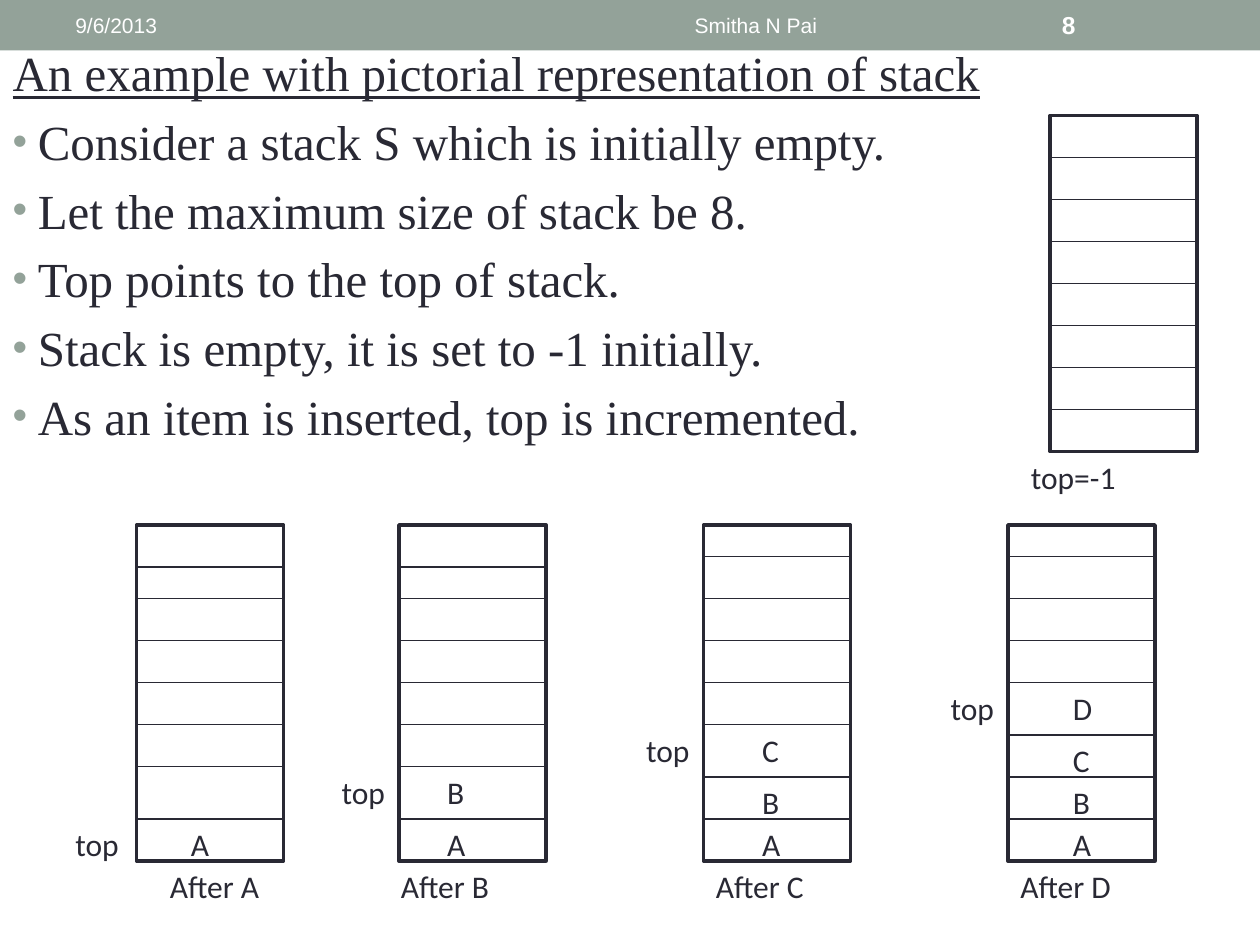
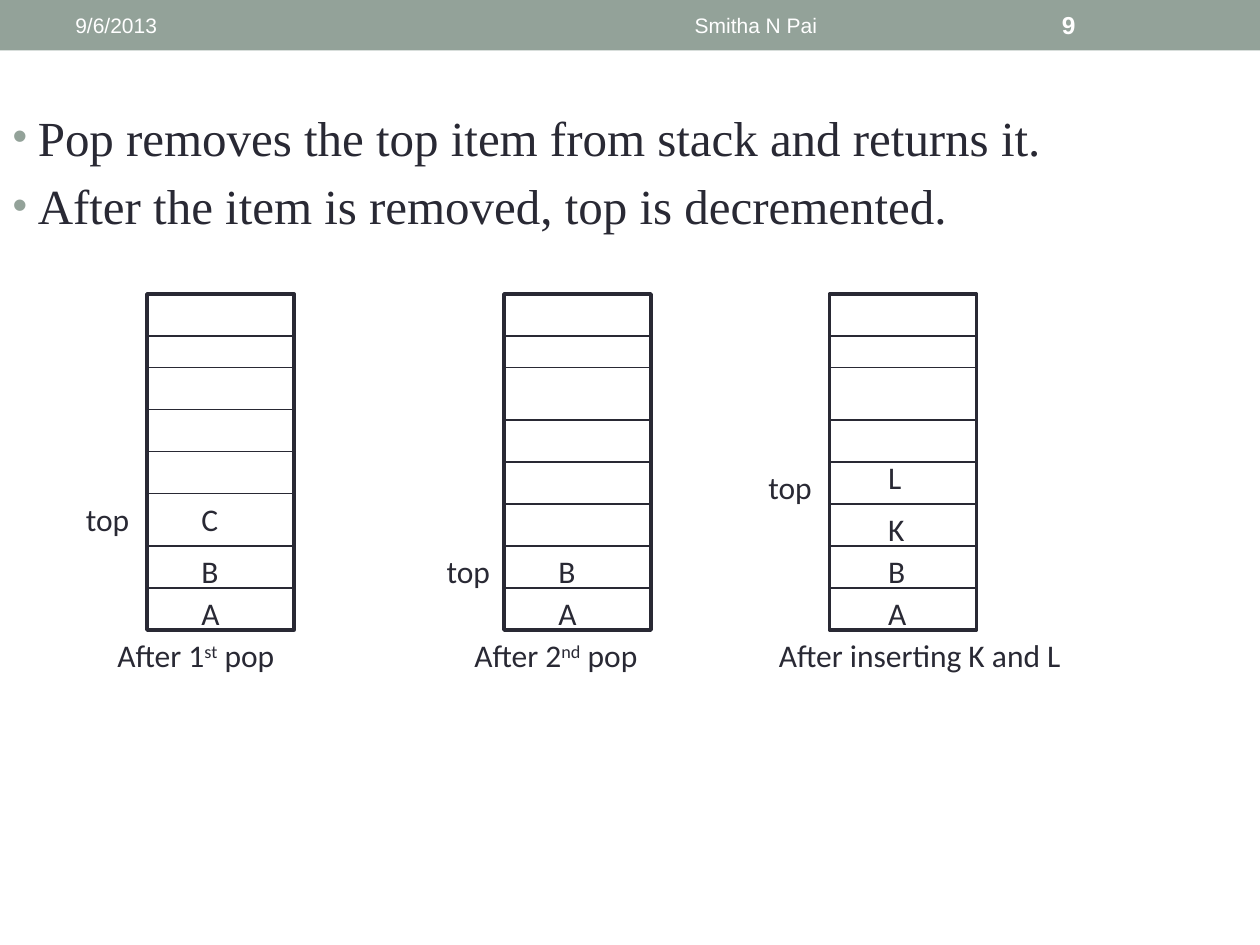
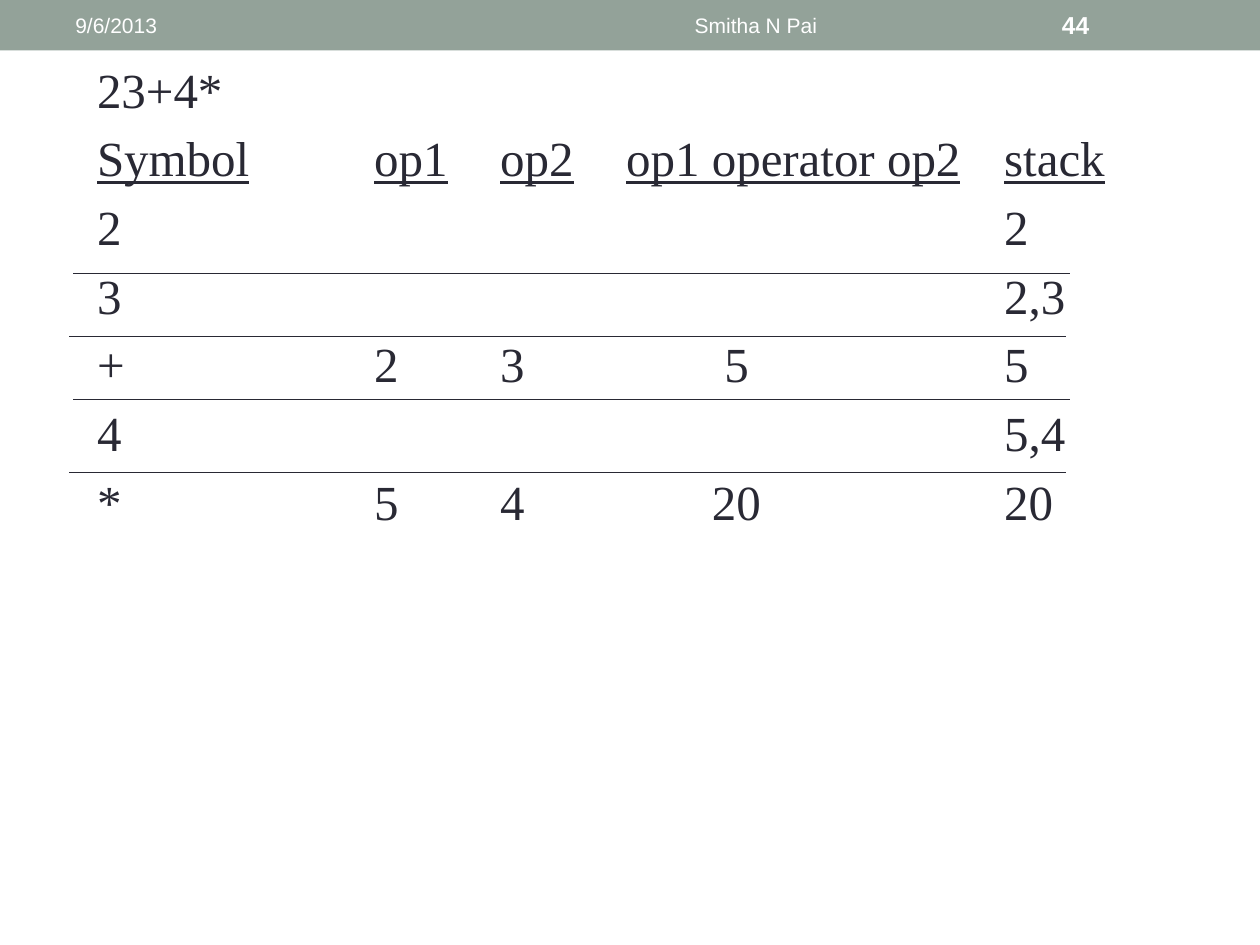
from lxml import etree
from pptx import Presentation
from pptx import util as u
from pptx.dml.color import RGBColor
from pptx.enum import shapes, text
from pptx.oxml.ns import qn

COLORS = {"ink": "292934", "sage": "93A299", "white": "FFFFFF"}
BODY = {"name": "Times New Roman", "size": u.Pt(28)}
LABEL = {"name": "Calibri", "size": u.Pt(18)}
FOOTER = {"name": "Arial", "size": u.Pt(12)}
NUMBER = {"name": "Arial", "size": u.Pt(14), "bold": True}

UNIT = 1 / 12
STACK_WIDTH, STACK_HEIGHT = 14, 32
POINTER_GAP = 6.65
HANGING = 0.2
EVEN = (4, 8, 12, 16, 20, 24, 28)
TIGHT_SECOND = (4, 7, 12, 16, 20, 24, 28)

DATE, AUTHOR = "9/6/2013", "Smitha N Pai"

STACK_SLIDES = [
    {
        "number": "8",
        "body": (0, 0.29, 10, 7),
        "lead": 0.05,
        "heading": "An example with pictorial representation of stack",
        "points": [
            "Consider a stack S which is initially empty.",
            "Let the maximum size of stack be 8.",
            "Top points to the top of stack.",
            "Stack is empty, it is set to -1 initially.",
            "As an item is inserted, top is incremented.",
        ],
        "stacks": [
            {"at": (100, 11), "rows": EVEN, "items": "", "inset": 0,
             "caption": ["top=-1"], "caption_at": (-3, 11)},
            {"at": (13, 50), "rows": (4, 7, 11, 15, 19, 23, 28), "items": "A", "inset": 4,
             "pointer": 7, "caption": ["After A"], "caption_at": (2, 15)},
            {"at": (38, 50), "rows": (4, 7, 11, 15, 19, 23, 28), "items": "BA", "inset": 3.4,
             "caption": ["After B"], "caption_at": (-1, 15)},
            {"at": (67, 50), "rows": (3, 7, 11, 15, 19, 24, 28), "items": "CBA", "inset": 4.4,
             "caption": ["After C"], "caption_at": (0, 15)},
            {"at": (96, 50), "rows": (3, 7, 11, 15, 20, 24, 28), "items": "DCBA", "inset": 5,
             "caption": ["After D"], "caption_at": (0, 15)},
        ],
    },
    {
        "number": "9",
        "body": (0, 0.25, 10, 7),
        "lead": 0.6,
        "heading": None,
        "points": [
            "Pop removes the top item from stack and returns it.",
            "After the item is removed, top is decremented.",
        ],
        "stacks": [
            {"at": (14, 28), "rows": (4, 7, 11, 15, 19, 24, 28), "items": "CBA", "inset": 4,
             "pointer": 7, "caption": ["After 1", "st", " pop"], "caption_at": (-4, 20)},
            {"at": (48, 28), "rows": TIGHT_SECOND, "items": "BA", "inset": 4,
             "caption": ["After 2", "nd", " pop"], "caption_at": (-4, 21)},
            {"at": (79, 28), "rows": TIGHT_SECOND, "items": "LKBA", "inset": 4.4, "lift": 1,
             "pointer": 7, "caption": ["After inserting K and L"], "caption_at": (-6, 36)},
        ],
    },
]

TRACE = {
    "number": "44",
    "body": (0.67, 0.42, 9, 7),
    "expression": "23+4*",
    "header": ["Symbol", "op1", "op2", "op1 operator op2", "stack"],
    "steps": [
        {"before": "2\t\t\t\t\t\t\t\t2"},
        {"before": "3\t\t\t\t\t\t\t\t2,3"},
        {"before": "+\t\t2\t3\t", "result": "5", "after": "\t\t\t5"},
        {"before": "4\t\t\t\t\t\t\t\t5,4"},
        {"before": "*\t\t\t5\t4\t", "result": "20", "after": "\t\t20"},
    ],
    "rules": [(0.58, 2.17), (0.55, 2.67), (0.58, 3.17), (0.55, 3.75)],
    "rule_width": 7.91,
}
DIGIT_HALF = 7
RESULT_CENTER = 63
SPACE = 7


def rgb(key):
    return RGBColor.from_string(COLORS[key])


def inches(*lengths):
    return [u.Inches(length) for length in lengths]


def grid(*cells):
    return [cell * UNIT for cell in cells]


def write(paragraph, words, style, color="ink", **extra):
    run = paragraph.add_run()
    run.text = words
    for key, value in {**style, **extra}.items():
        setattr(run.font, key, value)
    run.font.color.rgb = rgb(color)
    return run


def label(slide, box, parts, style=LABEL, color="ink", wrap=True,
          align=text.PP_ALIGN.LEFT, anchor=text.MSO_ANCHOR.TOP):
    frame = slide.shapes.add_textbox(*inches(*box)).text_frame
    frame.word_wrap = wrap
    frame.vertical_anchor = anchor
    paragraph = frame.paragraphs[0]
    paragraph.alignment = align
    for index, part in enumerate(parts):
        run = write(paragraph, part, style, color)
        if index == 1:
            run.font._element.set("baseline", "30000")


def rule(slide, left, top, width):
    line = slide.shapes.add_connector(
        shapes.MSO_CONNECTOR.STRAIGHT, *inches(left, top, left + width, top))
    line.line.color.rgb = rgb("ink")
    line.line.width = u.Pt(0.75)
    etree.SubElement(line._element.spPr, qn("a:effectLst"))


def rectangle(slide, box, fill):
    shape = slide.shapes.add_shape(shapes.MSO_SHAPE.RECTANGLE, *inches(*box))
    shape.shadow.inherit = False
    shape.fill.solid()
    shape.fill.fore_color.rgb = rgb(fill)
    shape.line.fill.background()
    return shape


def add_band(prs, slide):
    band = rectangle(slide, (0, 0, 10, 0.4), "sage")
    prs.slide_master.shapes._spTree.insert(2, band._element)


def widen_tabs(prs):
    for root in (prs.element, prs.slide_master.element):
        for level in root.iter():
            if level.get("defTabSz"):
                level.set("defTabSz", str(u.Inches(1)))


def start_slide(prs, box):
    slide = prs.slides.add_slide(prs.slide_layouts[1])
    title = slide.shapes.title._element
    title.getparent().remove(title)
    body = slide.placeholders[1]
    body.left, body.top, body.width, body.height = inches(*box)
    body.text_frame.auto_size = text.MSO_AUTO_SIZE.NONE
    return slide, body.text_frame


def add_footer(slide, number):
    for box, words, style, align in [
        ((0.5, 0.02, 3.17, 0.36), DATE, FOOTER, text.PP_ALIGN.LEFT),
        ((3.75, 0.02, 4.5, 0.36), AUTHOR, FOOTER, text.PP_ALIGN.CENTER),
        ((8.33, 0.02, 1.17, 0.36), number, NUMBER, text.PP_ALIGN.LEFT),
    ]:
        label(slide, box, [words], style, "white", align=align, anchor=text.MSO_ANCHOR.MIDDLE)


def next_paragraph(frame, bullet=False):
    first = frame.paragraphs[0]
    paragraph = frame.add_paragraph() if first.runs else first
    props = paragraph._p.get_or_add_pPr()
    props.set("marL", str(u.Inches(HANGING)))
    props.set("indent", str(-u.Inches(HANGING)))
    props.set("defTabSz", str(u.Inches(1)))
    if bullet:
        color = etree.SubElement(props, qn("a:buClr"))
        etree.SubElement(color, qn("a:srgbClr"), val=COLORS["sage"])
        etree.SubElement(props, qn("a:buSzPct"), val="85000")
        etree.SubElement(props, qn("a:buFont"), typeface="Arial")
        etree.SubElement(props, qn("a:buChar"), char="•")
    else:
        etree.SubElement(props, qn("a:buNone"))
    return paragraph


def draw_stack(slide, stack):
    left, top = stack["at"]
    frame = rectangle(slide, grid(left, top, STACK_WIDTH, STACK_HEIGHT), "white")
    frame.line.color.rgb = rgb("ink")
    frame.line.width = u.Pt(2.08)
    for row in stack["rows"]:
        rule(slide, *grid(left, top + row, STACK_WIDTH))

    items = stack["items"]
    if items:
        filled = stack["rows"][-len(items):]
        pointer = left - stack.get("pointer", POINTER_GAP)
        label(slide, grid(pointer, top + filled[0], 6.6, 4.8), ["top"], wrap=False)
        for index, (item, row) in enumerate(zip(items, filled)):
            lift = stack.get("lift", 0) if index == 0 else 0
            label(slide, grid(left + stack["inset"], top + row - lift, 6.6, 4.8), [item])

    shift, width = stack["caption_at"]
    label(slide, grid(left + shift, top + STACK_HEIGHT, width, 4.8), stack["caption"])


def stack_slide(prs, content):
    slide, frame = start_slide(prs, content["body"])
    frame.margin_top = u.Inches(content["lead"])
    if content["heading"]:
        write(next_paragraph(frame), content["heading"], BODY, underline=True)
    for point in content["points"]:
        write(next_paragraph(frame, bullet=True), point, BODY)
    for stack in content["stacks"]:
        draw_stack(slide, stack)
    add_footer(slide, content["number"])
    return slide


def write_step(paragraph, step):
    write(paragraph, step["before"], BODY)
    if "result" in step:
        result = step["result"]
        gap = RESULT_CENTER - DIGIT_HALF * len(result) - SPACE
        spacer = write(paragraph, " ", BODY)
        spacer.font._element.set("spc", str(gap * 100))
        write(paragraph, result + step["after"], BODY)


def trace_slide(prs, content):
    slide, frame = start_slide(prs, content["body"])
    write(next_paragraph(frame), content["expression"], BODY)
    header = next_paragraph(frame)
    for index, heading in enumerate(content["header"]):
        if index:
            write(header, "\t", BODY)
        write(header, heading, BODY, underline=True)
    for step in content["steps"]:
        write_step(next_paragraph(frame), step)
    for left, top in content["rules"]:
        rule(slide, left, top, content["rule_width"])
    add_footer(slide, content["number"])


def main():
    prs = Presentation()
    prs.slide_width, prs.slide_height = inches(10, 7.5)
    widen_tabs(prs)
    built = [stack_slide(prs, content) for content in STACK_SLIDES]
    trace_slide(prs, TRACE)
    add_band(prs, built[0])
    prs.save("out.pptx")


if __name__ == "__main__":
    main()
